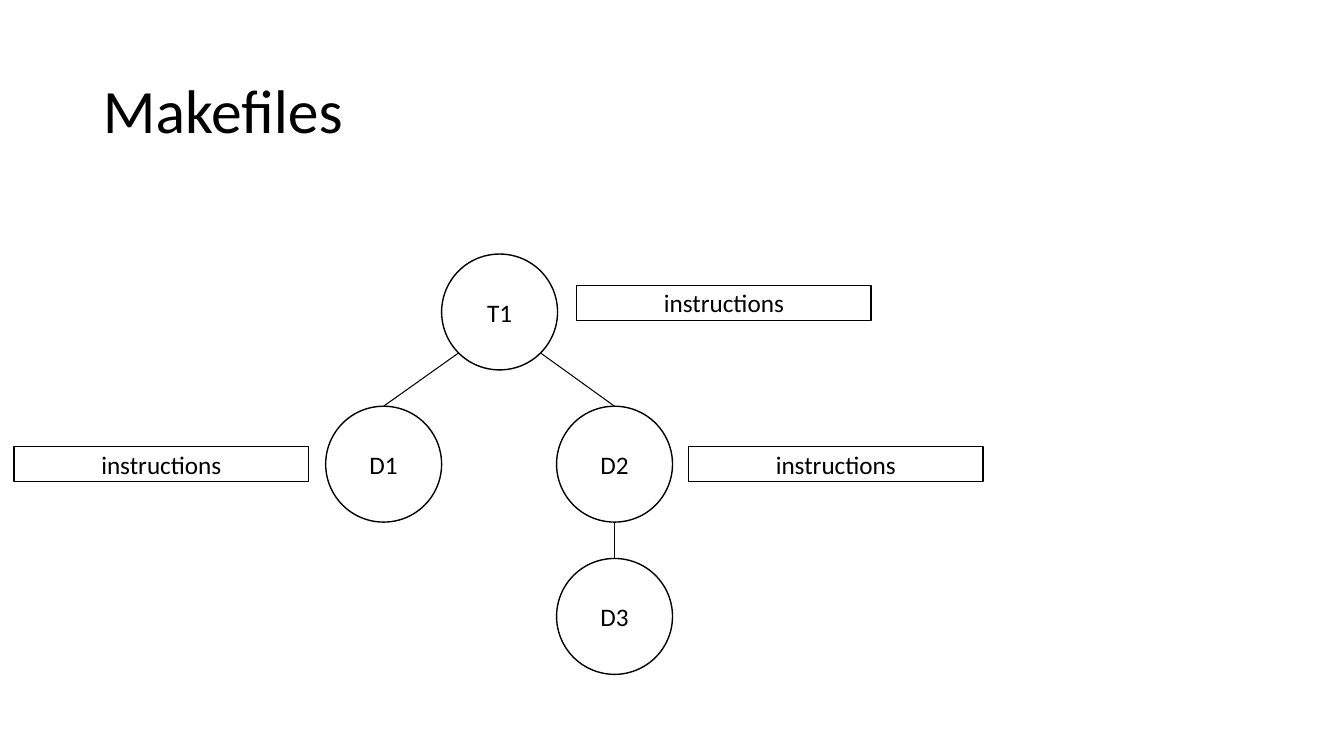
from math import cos, radians, sin

from lxml.etree import SubElement
from pptx import Presentation
from pptx.dml.color import RGBColor
from pptx.enum.shapes import MSO_CONNECTOR, MSO_SHAPE
from pptx.enum.text import MSO_ANCHOR, PP_ALIGN
from pptx.oxml.ns import qn
from pptx.util import Inches, Pt

BLACK = RGBColor(0, 0, 0)
WHITE = RGBColor(255, 255, 255)
FONT = "Calibri"

TITLE = "Makefiles"
NODES = {
    "T1": (4.38, 2.52),
    "D1": (3.23, 4.03),
    "D2": (5.52, 4.03),
    "D3": (5.52, 5.54),
}
DEPENDENCIES = [("D1", "T1", 135), ("D2", "T1", 45), ("D3", "D2", 90)]
INSTRUCTION_LABEL = "instructions"
INSTRUCTION_POSITIONS = [(5.72, 2.83), (6.83, 4.43), (0.14, 4.43)]
DIAMETER = 1.15
BOX_WIDTH, BOX_HEIGHT = 2.92, 0.35


def write_text(shape, text, size=18, alignment=PP_ALIGN.CENTER, line_spacing=None):
    frame = shape.text_frame
    frame.word_wrap = True
    frame.vertical_anchor = MSO_ANCHOR.MIDDLE
    paragraph = frame.paragraphs[0]
    paragraph.alignment = alignment
    paragraph.line_spacing = line_spacing
    run = paragraph.add_run()
    run.text = text
    run.font.name = FONT
    run.font.size = Pt(size)
    run.font.color.rgb = BLACK


def add_outlined_shape(slide, kind, left, top, width, height, text):
    shape = slide.shapes.add_shape(
        kind, Inches(left), Inches(top), Inches(width), Inches(height)
    )
    shape.shadow.inherit = False
    shape.fill.solid()
    shape.fill.fore_color.rgb = WHITE
    shape.line.color.rgb = BLACK
    shape.line.width = Pt(1)
    write_text(shape, text)
    return shape


def add_dependency(slide, child, target, angle):
    radius = target.width / 2
    end_x = int(target.left + radius + radius * cos(radians(angle)))
    end_y = int(target.top + radius + radius * sin(radians(angle)))
    start_x = child.left + child.width // 2
    connector = slide.shapes.add_connector(
        MSO_CONNECTOR.STRAIGHT, start_x, child.top, end_x, end_y
    )
    connector.begin_connect(child, 0)
    connector.line.color.rgb = BLACK
    connector.line.width = Pt(0.75)
    SubElement(connector._element.spPr, qn("a:effectLst"))


def main():
    presentation = Presentation()
    presentation.slide_width = Inches(13.33)
    presentation.slide_height = Inches(7.5)
    slide = presentation.slides.add_slide(presentation.slide_layouts[5])

    title = slide.shapes.title
    title.left, title.top = Inches(0.92), Inches(0.4)
    title.width, title.height = Inches(11.5), Inches(1.45)
    write_text(title, TITLE, size=44, alignment=PP_ALIGN.LEFT, line_spacing=0.9)

    circles = {
        name: add_outlined_shape(
            slide, MSO_SHAPE.OVAL, left, top, DIAMETER, DIAMETER, name
        )
        for name, (left, top) in NODES.items()
    }
    for child, target, angle in DEPENDENCIES:
        add_dependency(slide, circles[child], circles[target], angle)
    for left, top in INSTRUCTION_POSITIONS:
        add_outlined_shape(
            slide, MSO_SHAPE.RECTANGLE, left, top,
            BOX_WIDTH, BOX_HEIGHT, INSTRUCTION_LABEL,
        )

    presentation.save("out.pptx")


if __name__ == "__main__":
    main()
